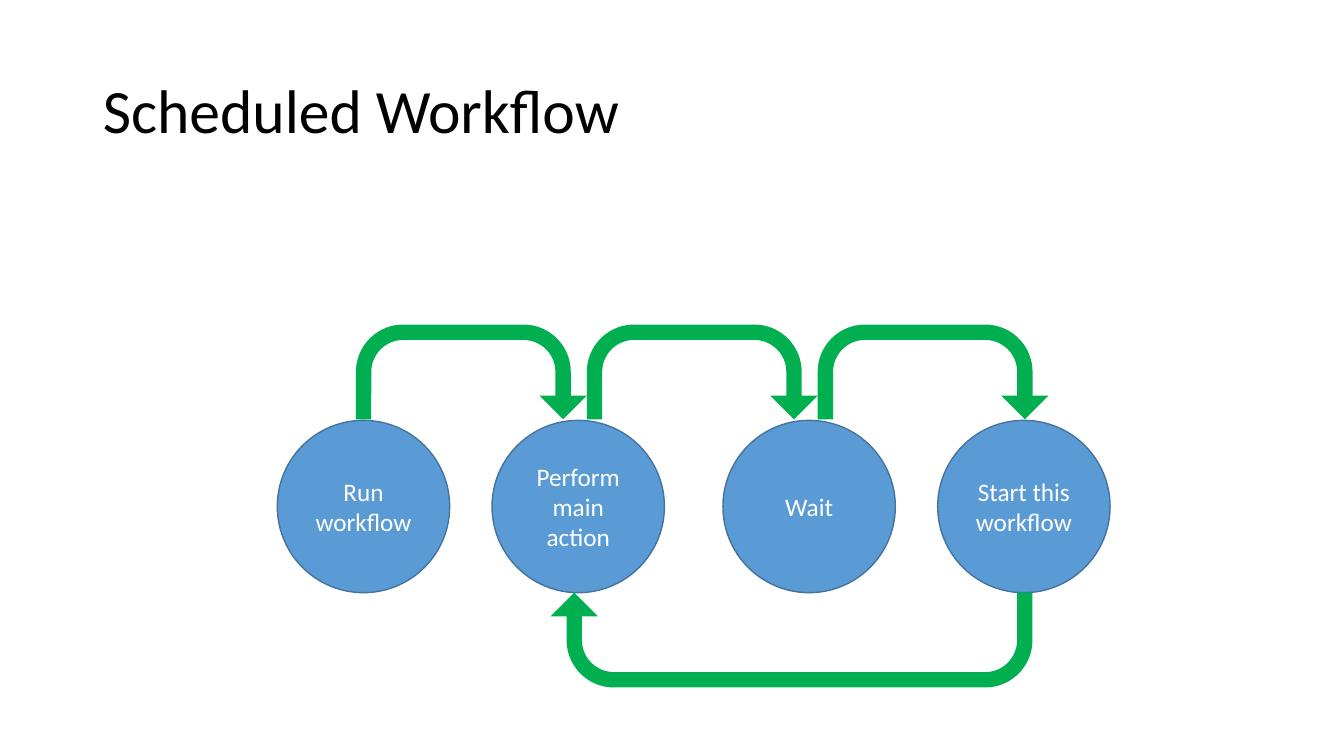
from pptx import Presentation
from pptx.dml.color import RGBColor
from pptx.enum.shapes import MSO_SHAPE as Shape
from pptx.enum.text import MSO_ANCHOR as Anchor, PP_ALIGN as Align
from pptx.util import Inches, Pt

FONT = "Calibri"
TITLE_BOX = (0.92, 0.4, 11.5, 1.45)
FLOW_BOX = (2.75, 3.22, 8.26, 3.6)
STEPS = [("Run workflow", 0), ("Perform main action", 2.13),
         ("Wait", 4.42), ("Start this workflow", 6.55)]
CIRCLE = 1.71
ARROW_HEIGHT = 0.94
ARROW_PITCH = 2.29
FIRST_ARROW = 0.78
RETURN_START, RETURN_WIDTH = 2.71, 4.78
ARROW_ADJUSTMENTS = (0.162, 0.25, 0.25, 0.5, 1)


def color(value):
    """Turn a hex string into a colour."""
    return RGBColor.from_string(value)


def style_text(frame, text, size, fill, align):
    """Write one paragraph, centred vertically in its frame."""
    frame.text = text
    frame.word_wrap = True
    frame.vertical_anchor = Anchor.MIDDLE
    para = frame.paragraphs[0]
    para.alignment = align
    para.font.name = FONT
    para.font.size = Pt(size)
    para.font.bold = False
    para.font.color.rgb = color(fill)
    return para


def add_title(page, box, text):
    """Place and format the title placeholder."""
    title = page.shapes.title
    title.left, title.top, title.width, title.height = map(Inches, box)
    para = style_text(title.text_frame, text, 44, "000000", Align.LEFT)
    para.line_spacing = 0.9


def add_filled(page, kind, box, fill):
    """Add a flat preset shape with a solid fill."""
    shape = page.shapes.add_shape(kind, *map(Inches, box))
    shape.shadow.inherit = False
    shape.fill.solid()
    shape.fill.fore_color.rgb = color(fill)
    return shape


def add_step(page, left, top, text):
    """Add one labelled workflow circle."""
    circle = add_filled(page, Shape.OVAL, (left, top, CIRCLE, CIRCLE), "5B9BD5")
    circle.line.color.rgb = color("43739E")
    circle.line.width = Pt(1)
    style_text(circle.text_frame, text, 18, "FFFFFF", Align.CENTER)


def add_turn(page, left, top, width, rotation=0):
    """Add one green U-turn arrow."""
    arrow = add_filled(page, Shape.U_TURN_ARROW,
                       (left, top, width, ARROW_HEIGHT), "00B050")
    arrow.line.fill.background()
    arrow.rotation = rotation
    for index, value in enumerate(ARROW_ADJUSTMENTS):
        arrow.adjustments[index] = value


def add_flow(page, box):
    """Draw the steps, the arrows between them and the return arrow."""
    left, top, width, height = box
    for index, (text, offset) in enumerate(STEPS):
        add_step(page, left + offset, top + ARROW_HEIGHT + 0.01, text)
        if index < len(STEPS) - 1:
            start = left + FIRST_ARROW + index * ARROW_PITCH
            add_turn(page, start, top, ARROW_PITCH)
    add_turn(page, left + RETURN_START, top + height - ARROW_HEIGHT,
             RETURN_WIDTH, 180)


def main():
    """Build and save the deck."""
    deck = Presentation()
    deck.slide_width, deck.slide_height = Inches(13.33), Inches(7.5)
    page = deck.slides.add_slide(deck.slide_layouts[5])
    add_title(page, TITLE_BOX, "Scheduled Workflow")
    add_flow(page, FLOW_BOX)
    deck.save("out.pptx")


if __name__ == "__main__":
    main()
